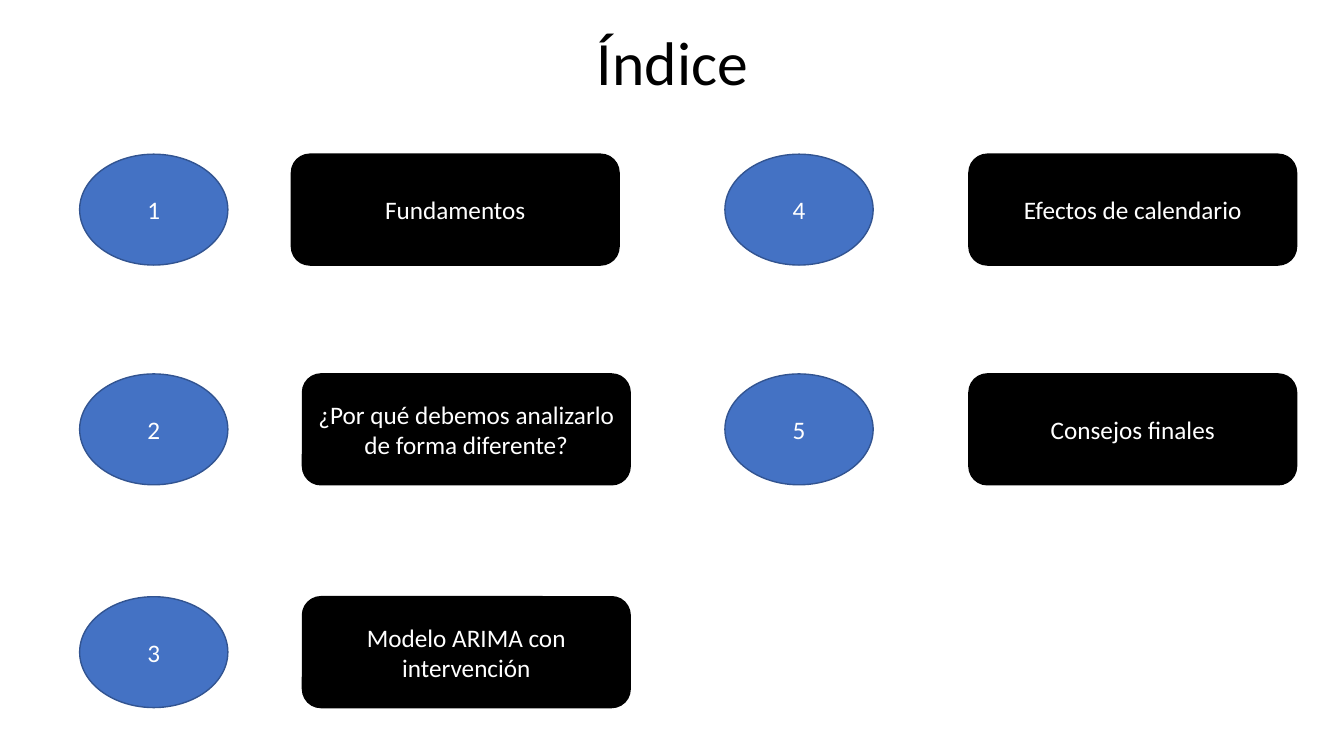
from pptx import Presentation
from pptx.dml.color import RGBColor as Rgb
from pptx.enum.shapes import MSO_SHAPE as Kind
from pptx.enum.text import MSO_ANCHOR as Anchor, PP_ALIGN as Align
from pptx.util import Pt

PX = 9144
COLORS = {"black": "000000", "white": "FFFFFF", "blue": "4472C4", "navy": "325491"}
ROWS = [153, 371, 592]
TOPICS = [
    ("Fundamentos", 79, 289, 0),
    ("¿Por qué debemos analizarlo de forma diferente?", 79, 300, 1),
    ("Modelo ARIMA con intervención", 79, 300, 2),
    ("Efectos de calendario", 719, 961, 0),
    ("Consejos finales", 719, 961, 1),
]


class Deck:
    """Hold the style and the current slide, and draw its elements."""

    font = "Calibri"

    def __init__(self, width, height):
        self.file = Presentation()
        self.file.slide_width = width * PX
        self.file.slide_height = height * PX
        self.slide = self.file.slides.add_slide(self.file.slide_layouts[6])

    def color(self, name):
        return Rgb.from_string(COLORS[name])

    def label(self, shape, text, size, color):
        frame = shape.text_frame
        frame.word_wrap = True
        frame.vertical_anchor = Anchor.MIDDLE
        frame.margin_left = frame.margin_right = 8 * PX
        para = frame.paragraphs[0]
        para.alignment = Align.CENTER
        run = para.add_run()
        run.text = text
        run.font.name = self.font
        run.font.size = Pt(size)
        run.font.color.rgb = self.color(color)

    def title(self, text, *box):
        shape = self.slide.shapes.add_textbox(*(n * PX for n in box))
        self.label(shape, text, 44, "black")

    def shape(self, kind, text, fill, line, *box):
        shape = self.slide.shapes.add_shape(kind, *(n * PX for n in box))
        shape.shadow.inherit = False
        shape.fill.solid()
        shape.fill.fore_color.rgb = self.color(fill)
        shape.line.color.rgb = self.color(line)
        shape.line.width = Pt(1)
        self.label(shape, text, 18, "white")

    def badge(self, text, left, top):
        self.shape(Kind.OVAL, text, "blue", "navy", left, top, 147, 110)

    def card(self, text, left, top):
        self.shape(Kind.ROUNDED_RECTANGLE, text, "black", "black", left, top, 325, 110)


def main():
    deck = Deck(1333, 750)
    deck.title("Índice", 67, 6, 1200, 109)
    for num, (text, left, side, row) in enumerate(TOPICS, 1):
        deck.badge(str(num), left, ROWS[row])
        deck.card(text, side, ROWS[row])
    deck.file.save("out.pptx")


if __name__ == "__main__":
    main()
